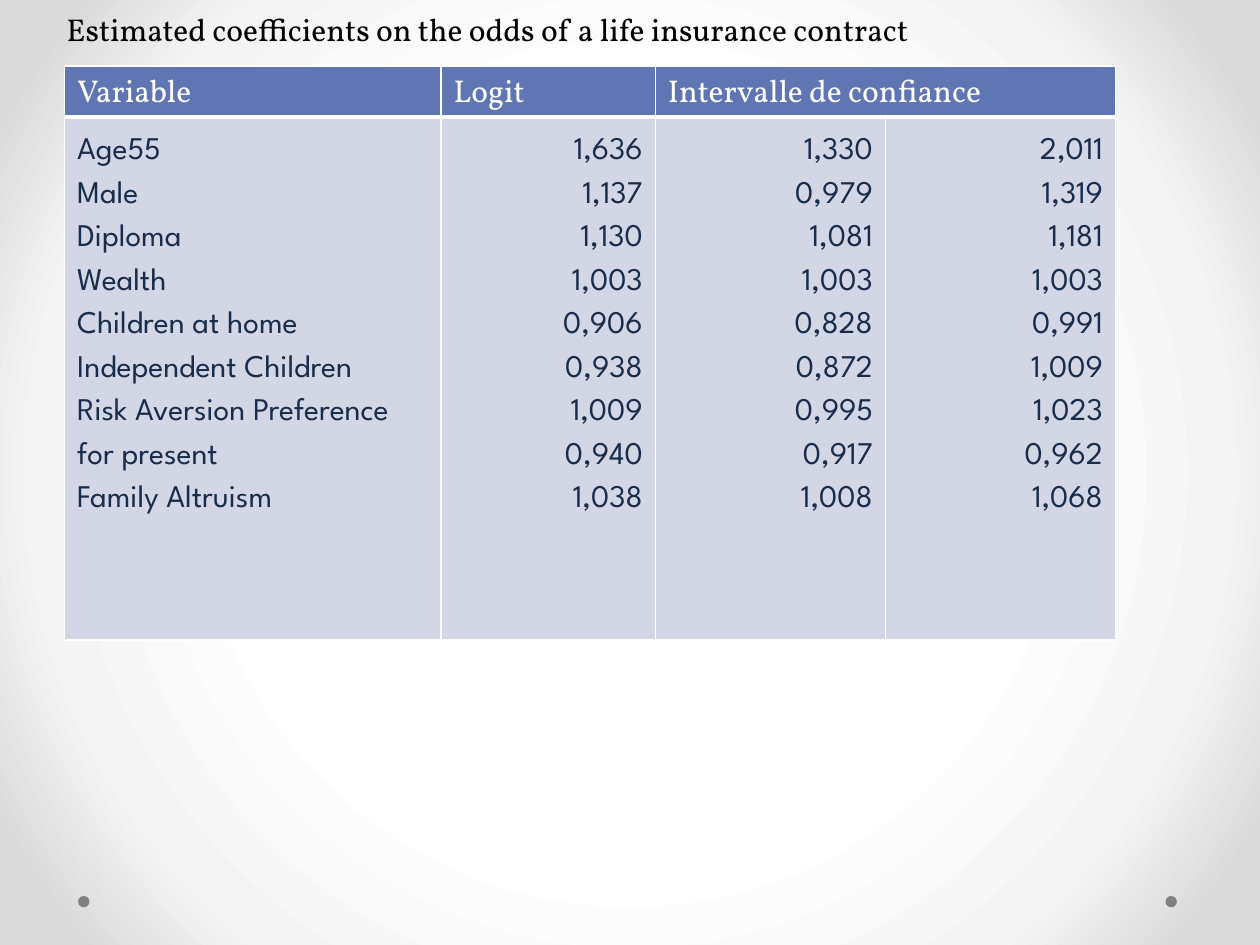
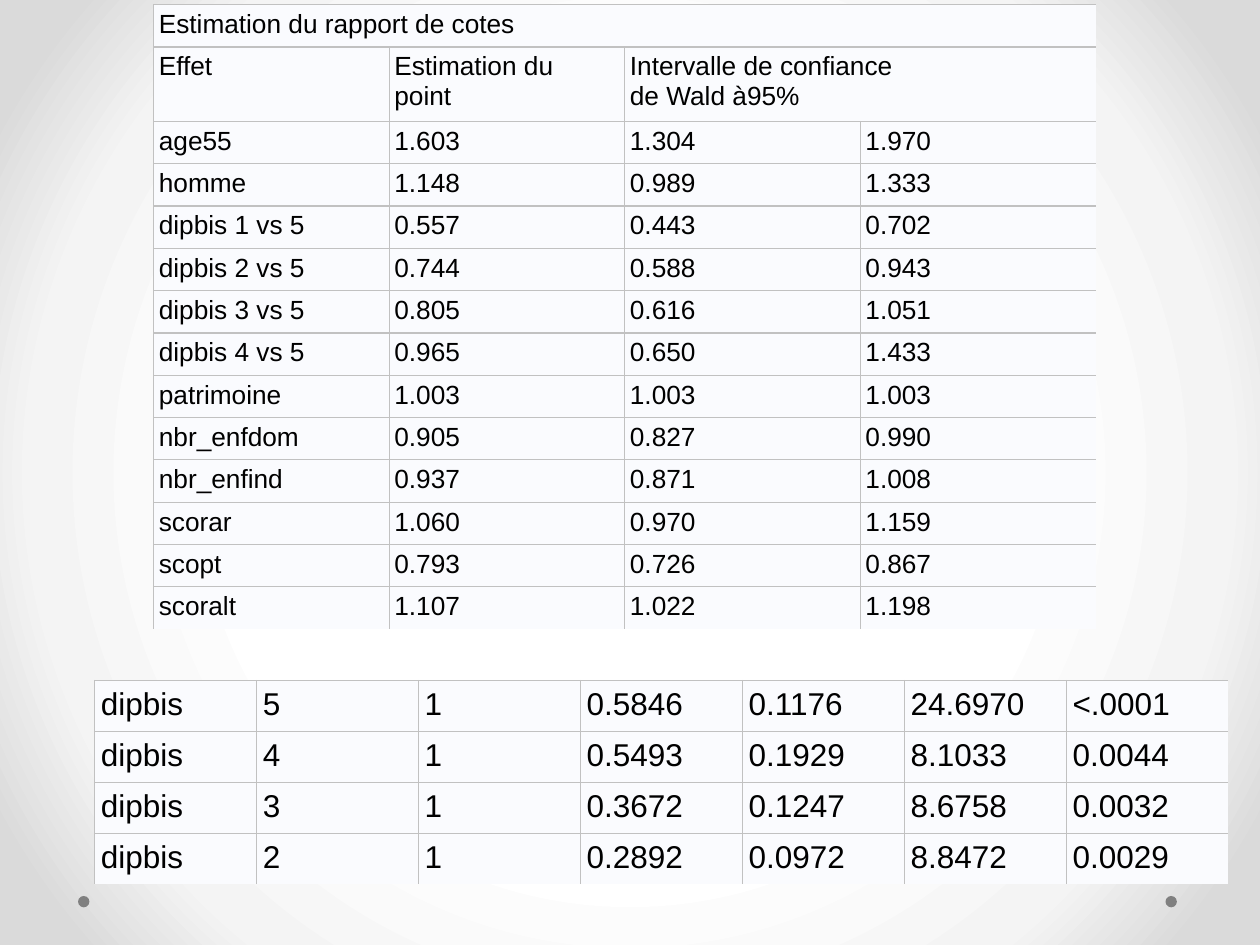
from dataclasses import dataclass
from typing import Optional

from lxml.etree import SubElement
from pptx import Presentation
from pptx.dml.color import RGBColor
from pptx.enum.shapes import MSO_SHAPE
from pptx.enum.text import PP_ALIGN
from pptx.oxml.ns import qn
from pptx.util import Pt

ELLIPSE = MSO_SHAPE.OVAL
LEFT, RIGHT = PP_ALIGN.LEFT, PP_ALIGN.RIGHT
BLANK_LAYOUT = 6
COLORS = {
    "white": "FFFFFF", "pale": "F4F4F4", "silver": "DADADA", "dot": "808080",
    "black": "000000", "navy": "182C4B", "header": "6076B4", "body": "D2D6E5",
    "cell": "FAFBFE", "grid": "C1C1C1",
}
BACKGROUND_STOPS = [(50, "white"), (76, "pale"), (92, "silver")]
DOT_LEFTS = (44.6, 666)
DOT_TOP, DOT_SIZE = 512, 6.5


@dataclass(frozen=True)
class TextStyle:
    font: str
    size: float
    color: str
    line_spacing: Optional[float] = None


@dataclass(frozen=True)
class CellStyle:
    text: TextStyle
    fill: str
    border: str
    border_width: float
    bottom_width: float
    margins: tuple[float, float] = (7.2, 3.6)
    numbers: PP_ALIGN = LEFT
    closed: bool = False


@dataclass(frozen=True)
class Grid:
    left: float
    top: float
    widths: list[float]
    heights: list[float]
    rows: list[list[str]]
    header: CellStyle
    body: CellStyle


TITLE = TextStyle("Vollkorn", 18, "black")
HEADER = CellStyle(TextStyle("Vollkorn", 18, "white"), "header", "white", 1, 3, closed=True)
BODY = CellStyle(TextStyle("League Spartan", 18, "navy", 1.5), "body", "white", 1, 1,
                 numbers=RIGHT, closed=True)
ODDS = CellStyle(TextStyle("Arial", 15, "black"), "cell", "grid", 0.75, 0.75, (3, 3))
DIPLOMA = CellStyle(TextStyle("Arial", 18, "black"), "cell", "grid", 0.75, 0.75, (3.6, 3.6))

COEFFICIENT_ROWS = [
    ["Variable", "Logit", "Intervalle de confiance"],
    ["Age55\nMale\nDiploma\nWealth\nChildren at home\nIndependent Children\n"
     "Risk Aversion Preference for present\nFamily Altruism",
     "1,636\n1,137\n1,130\n1,003\n0,906\n0,938\n1,009\n0,940\n1,038",
     "1,330\n0,979\n1,081\n1,003\n0,828\n0,872\n0,995\n0,917\n1,008",
     "2,011\n1,319\n1,181\n1,003\n0,991\n1,009\n1,023\n0,962\n1,068"],
]
ODDS_ROWS = [
    ["Estimation du rapport de cotes"],
    ["Effet", "Estimation du\vpoint", "Intervalle de confiance \vde Wald à95%"],
    ["age55", "1.603", "1.304", "1.970"],
    ["homme", "1.148", "0.989", "1.333"],
    ["dipbis 1 vs 5", "0.557", "0.443", "0.702"],
    ["dipbis 2 vs 5", "0.744", "0.588", "0.943"],
    ["dipbis 3 vs 5", "0.805", "0.616", "1.051"],
    ["dipbis 4 vs 5", "0.965", "0.650", "1.433"],
    ["patrimoine", "1.003", "1.003", "1.003"],
    ["nbr_enfdom", "0.905", "0.827", "0.990"],
    ["nbr_enfind", "0.937", "0.871", "1.008"],
    ["scorar", "1.060", "0.970", "1.159"],
    ["scopt", "0.793", "0.726", "0.867"],
    ["scoralt", "1.107", "1.022", "1.198"],
]
DIPLOMA_ROWS = [
    ["dipbis", "5", "1", "0.5846", "0.1176", "24.6970", "<.0001"],
    ["dipbis", "4", "1", "0.5493", "0.1929", "8.1033", "0.0044"],
    ["dipbis", "3", "1", "0.3672", "0.1247", "8.6758", "0.0032"],
    ["dipbis", "2", "1", "0.2892", "0.0972", "8.8472", "0.0029"],
]
COEFFICIENTS = Grid(36.9, 37.6, [215.2, 122.4, 131.5, 131.5], [29.2, 298.8],
                    COEFFICIENT_ROWS, HEADER, BODY)
ODDS_RATIOS = Grid(87.8, 2.7, [134.6] * 4, [24.2, 42.5] + [24.2] * 12,
                   ODDS_ROWS, ODDS, ODDS)
DIPLOMA_LEVELS = Grid(54, 388.8, [648 / 7] * 7, [29.16] * 4,
                      DIPLOMA_ROWS, DIPLOMA, DIPLOMA)


def rgb(name: str) -> RGBColor:
    return RGBColor.from_string(COLORS[name])


def paint_background(master) -> None:
    master.background.fill.gradient()
    gradient = next(master.element.iter(qn("a:gradFill")))
    for child in list(gradient):
        gradient.remove(child)
    stops = SubElement(gradient, qn("a:gsLst"))
    for position, color in BACKGROUND_STOPS:
        stop = SubElement(stops, qn("a:gs"), pos=str(position * 1000))
        SubElement(stop, qn("a:srgbClr"), val=COLORS[color])
    shade = SubElement(gradient, qn("a:path"), path="circle")
    SubElement(shade, qn("a:fillToRect"), l="50000", t="50000", r="50000", b="50000")


def write_text(text_frame, text: str, style: TextStyle, alignment: PP_ALIGN = LEFT) -> None:
    text_frame.text = text
    for paragraph in text_frame.paragraphs:
        paragraph.alignment = alignment
        if style.line_spacing:
            paragraph.line_spacing = style.line_spacing
        for span in paragraph.runs:
            span.font.name = style.font
            span.font.size = Pt(style.size)
            span.font.color.rgb = rgb(style.color)
        for line_break in paragraph._p.findall(qn("a:br")):
            SubElement(line_break, qn("a:rPr"), sz=str(int(style.size * 100)))


def draw_borders(cell, style: CellStyle, last_column: bool, last_row: bool) -> None:
    widths = {
        "L": style.border_width,
        "R": style.border_width if style.closed or not last_column else 0,
        "T": style.border_width,
        "B": style.bottom_width if style.closed or not last_row else 0,
    }
    properties = cell._tc.get_or_add_tcPr()
    for side, width in widths.items():
        line = SubElement(properties, qn(f"a:ln{side}"), w=str(Pt(width)))
        if width:
            fill = SubElement(line, qn("a:solidFill"))
            SubElement(fill, qn("a:srgbClr"), val=COLORS[style.border])
        else:
            SubElement(line, qn("a:noFill"))


def draw_grid(page, grid: Grid) -> None:
    row_count, column_count = len(grid.heights), len(grid.widths)
    frame = page.shapes.add_table(row_count, column_count, Pt(grid.left), Pt(grid.top),
                                  Pt(sum(grid.widths)), Pt(sum(grid.heights)))
    table = frame.table
    table.first_row = table.horz_banding = False
    for column, width in zip(table.columns, grid.widths):
        column.width = Pt(width)
    for row, height in zip(table.rows, grid.heights):
        row.height = Pt(height)
    for row_index, texts in enumerate(grid.rows):
        style = grid.body if row_index else grid.header
        last_text = len(texts) - 1
        if len(texts) < column_count:
            table.cell(row_index, last_text).merge(table.cell(row_index, column_count - 1))
        for column_index, text in enumerate(texts):
            cell = table.cell(row_index, column_index)
            cell.margin_left = cell.margin_right = Pt(style.margins[0])
            cell.margin_top = cell.margin_bottom = Pt(style.margins[1])
            draw_borders(cell, style, column_index == last_text, row_index == row_count - 1)
            cell.fill.solid()
            cell.fill.fore_color.rgb = rgb(style.fill)
            write_text(cell.text_frame, text, style.text,
                       style.numbers if column_index else LEFT)


def add_page(deck):
    page = deck.slides.add_slide(deck.slide_layouts[BLANK_LAYOUT])
    for left in DOT_LEFTS:
        dot = page.shapes.add_shape(ELLIPSE, Pt(left), Pt(DOT_TOP), Pt(DOT_SIZE), Pt(DOT_SIZE))
        dot.shadow.inherit = False
        dot.fill.solid()
        dot.fill.fore_color.rgb = rgb("dot")
        dot.line.fill.background()
    return page


def add_title(page, text: str) -> None:
    box = page.shapes.add_textbox(Pt(31), Pt(2.2), Pt(648), Pt(29))
    box.text_frame.word_wrap = True
    write_text(box.text_frame, text, TITLE)


def main() -> None:
    deck = Presentation()
    deck.slide_width, deck.slide_height = Pt(720), Pt(540)
    paint_background(deck.slide_master)

    coefficient_page = add_page(deck)
    add_title(coefficient_page,
              "Estimated coefficients on the odds of a life insurance contract")
    draw_grid(coefficient_page, COEFFICIENTS)

    odds_page = add_page(deck)
    for grid in (ODDS_RATIOS, DIPLOMA_LEVELS):
        draw_grid(odds_page, grid)

    deck.save("out.pptx")


if __name__ == "__main__":
    main()
